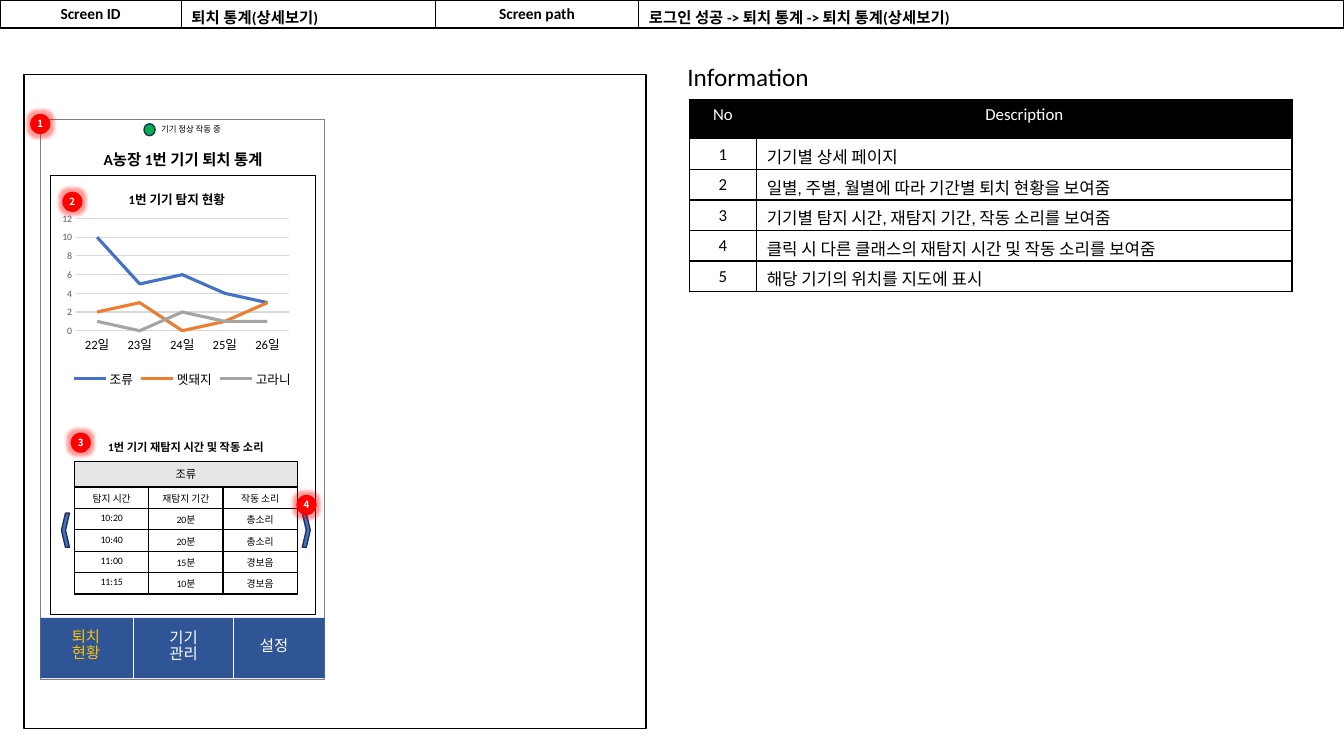
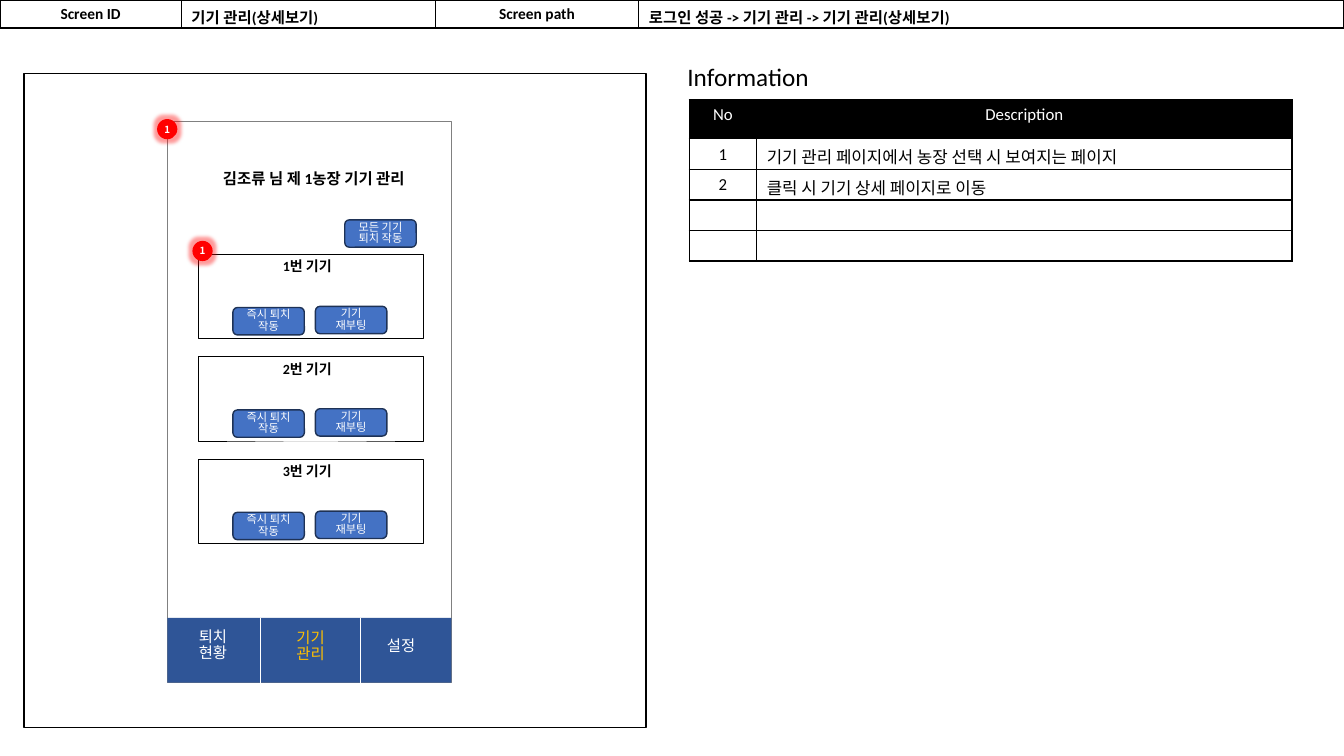
"""Build two screen specification slides for a farm device app."""
from lxml import etree
from pptx import Presentation
from pptx.chart.data import CategoryChartData
from pptx.dml.color import RGBColor
from pptx.enum.chart import XL_CHART_TYPE, XL_LEGEND_POSITION, XL_TICK_MARK
from pptx.enum.shapes import MSO_CONNECTOR, MSO_SHAPE
from pptx.enum.text import MSO_ANCHOR, PP_ALIGN
from pptx.oxml import parse_xml
from pptx.oxml.ns import nsdecls, qn
from pptx.util import Cm, Pt

BLACK = RGBColor(0x00, 0x00, 0x00)
WHITE = RGBColor(0xFF, 0xFF, 0xFF)
GRAY = RGBColor(0x80, 0x80, 0x80)
PALE = RGBColor(0xE7, 0xE6, 0xE6)
RULE = RGBColor(0xD9, 0xD9, 0xD9)
TICK = RGBColor(0x59, 0x59, 0x59)
RED = RGBColor(0xFF, 0x00, 0x00)
GREEN = RGBColor(0x00, 0xB0, 0x50)
NAVY = RGBColor(0x2F, 0x55, 0x97)
BLUE = RGBColor(0x44, 0x72, 0xC4)
EDGE = RGBColor(0x1E, 0x32, 0x56)
GOLD = RGBColor(0xFF, 0xC0, 0x00)
ORANGE = RGBColor(0xED, 0x7D, 0x31)
SILVER = RGBColor(0xA5, 0xA5, 0xA5)

RECT, OVAL = MSO_SHAPE.RECTANGLE, MSO_SHAPE.OVAL
ROUND, CHEVRON = MSO_SHAPE.ROUNDED_RECTANGLE, MSO_SHAPE.CHEVRON
STRAIGHT = MSO_CONNECTOR.STRAIGHT
LEFT, MID = PP_ALIGN.LEFT, PP_ALIGN.CENTER
TOP, CENTER = MSO_ANCHOR.TOP, MSO_ANCHOR.MIDDLE
LINE, BELOW = XL_CHART_TYPE.LINE, XL_LEGEND_POSITION.BOTTOM
NONE = XL_TICK_MARK.NONE
FONT, BADGE = "Calibri", "Noto Sans CJK KR"


def write(frame, text, size, color=BLACK, bold=False, align=LEFT, gap=None, name=FONT):
    frame.word_wrap = True
    for i, line in enumerate(text.split("\n")):
        para = frame.add_paragraph() if i else frame.paragraphs[0]
        para.alignment = align
        para.line_spacing = gap
        if not line:
            etree.SubElement(para._p, qn("a:endParaRPr"), sz=str(size * 100))
            continue
        run = para.add_run()
        run.text = line
        style = {"size": Pt(size), "bold": bold, "name": name}
        for key, value in style.items():
            setattr(run.font, key, value)
        run.font.color.rgb = color


def box(slide, kind, at, fill, edge=None, width=1):
    shape = slide.shapes.add_shape(kind, *map(Cm, at))
    shape.shadow.inherit = False
    shape.fill.solid()
    shape.fill.fore_color.rgb = fill
    if edge is None:
        shape.line.fill.background()
    else:
        shape.line.color.rgb = edge
        shape.line.width = Pt(width)
    return shape


pages = [
    {
        "name": "퇴치 통계(상세보기)",
        "route": "로그인 성공 -> 퇴치 통계 -> 퇴치 통계(상세보기)",
        "notes": ["기기별 상세 페이지", "일별, 주별, 월별에 따라 기간별 퇴치 현황을 보여줌",
                  "기기별 탐지 시간, 재탐지 기간, 작동 소리를 보여줌",
                  "클릭 시 다른 클래스의 재탐지 시간 및 작동 소리를 보여줌",
                  "해당 기기의 위치를 지도에 표시"],
        "blank": 0, "frame": 1.88, "phone": (1.02, 3.0), "bar": 1.52, "active": 0,
        "badges": [("1", 0.76, 2.87), ("2", 1.57, 4.83), ("3", 1.78, 10.9), ("4", 7.47, 12.47)],
        "texts": [("A농장 1번 기기 퇴치 통계", (1.35, 3.66, 6.53, 0.74), 11, True, MID),
                  ("1번 기기 재탐지 시간 및 작동 소리", (2.34, 10.97, 4.7, 0.61), 8, True, MID),
                  ("기기 정상 작동 중", (3.81, 3.0, 2.21, 0.51), 6, False, LEFT)],
        "shapes": [(RECT, (1.27, 4.42, 6.68, 11.05), WHITE, BLACK, 0.25, 0),
                   (CHEVRON, (7.62, 12.93, 0.2, 0.86), BLUE, EDGE, 1, 0),
                   (CHEVRON, (1.55, 12.93, 0.2, 0.86), BLUE, EDGE, 1, 180),
                   (OVAL, (3.63, 3.12, 0.28, 0.3), GREEN, EDGE, 1, 0)],
        "buttons": [],
        "sounds": [["조류", "", ""], ["탐지 시간", "재탐지 기간", "작동 소리"],
                   ["10:20", "20분", "총소리"], ["10:40", "20분", "총소리"],
                   ["11:00", "15분", "경보음"], ["11:15", "10분", "경보음"]],
        "series": [("조류", (10, 5, 6, 4, 3), BLUE), ("멧돼지", (2, 3, 0, 1, 3), ORANGE),
                   ("고라니", (1, 0, 2, 1, 1), SILVER)],
    },
    {
        "name": "기기 관리(상세보기)",
        "route": "로그인 성공 -> 기기 관리 -> 기기 관리(상세보기)",
        "notes": ["기기 관리 페이지에서 농장 선택 시 보여지는 페이지", "클릭 시 기기 상세 페이지로 이동"],
        "blank": 2, "frame": 1.85, "phone": (4.22, 3.07), "bar": 1.63, "active": 1,
        "badges": [("1", 3.96, 3.0), ("1", 4.85, 6.07)],
        "texts": [("김조류 님 제 1농장 기기 관리", (5.16, 4.14, 5.5, 0.74), 11, True, MID)],
        "shapes": [],
        "buttons": [("모든 기기\n퇴치 작동", 8.69, 5.54)],
        "sounds": [],
        "series": [],
    },
]
for i in range(3):
    drop = i * 2.58
    card = pages[1]
    card["shapes"].append((RECT, (5.0, 6.4 + drop, 5.66, 2.13), WHITE, BLACK, 0.25, 0))
    card["texts"].append((f"{i + 1}번 기기", (6.88, 6.37 + drop, 1.9, 0.69), 10, True, LEFT))
    card["buttons"] += [("즉시 퇴치\n작동", 5.87, 7.75 + drop), ("기기\n재부팅", 7.95, 7.72 + drop)]

deck = Presentation()
deck.slide_width, deck.slide_height = Cm(33.87), Cm(19.05)

for page in pages:
    slide = deck.slides.add_slide(deck.slide_layouts[5])
    title = slide.shapes.title
    place = {"left": 17.07, "top": 1.42, "width": 3.81, "height": 1.02}
    for key, value in place.items():
        setattr(title, key, Cm(value))
    title.text_frame.vertical_anchor = TOP
    write(title.text_frame, "Information", 18)

    left, top = page["phone"]
    box(slide, RECT, (0.61, page["frame"], 15.67, 16.48), WHITE, BLACK)
    box(slide, RECT, (left, top, 7.16, 14.12), WHITE, GRAY, 0.5)
    for kind, at, fill, edge, width, turn in page["shapes"]:
        box(slide, kind, at, fill, edge, width).rotation = turn
    for text, at, size, bold, align in page["texts"]:
        label = slide.shapes.add_textbox(*map(Cm, at))
        write(label.text_frame, text, size, BLACK, bold, align)
    for text, x, y in page["buttons"]:
        button = box(slide, ROUND, (x, y, 1.8, 0.69), BLUE, EDGE)
        button.text_frame.vertical_anchor = CENTER
        write(button.text_frame, text, 8, WHITE, align=MID, gap=0.85)

    box(slide, RECT, (left, 15.57, 7.16, page["bar"]), NAVY)
    for x in (left + 2.35, left + 4.87):
        rule = slide.shapes.add_connector(
            STRAIGHT, Cm(x), Cm(15.58), Cm(x), Cm(15.58 + page["bar"]))
        rule.line.color.rgb = WHITE
        rule.line.width = Pt(0.5)
        etree.SubElement(rule._element.spPr, qn("a:effectLst"))
    tabs = [("퇴치현황", 0.54, 15.75), ("기기관리", 3.0, 15.78), ("설정", 5.28, 15.98)]
    for i, (text, x, y) in enumerate(tabs):
        tab = slide.shapes.add_textbox(Cm(left + x), Cm(y), Cm(1.38), Cm(1.12))
        write(tab.text_frame, text, 11, GOLD if i == page["active"] else WHITE, gap=0.85)

    if page["series"]:
        data = CategoryChartData()
        data.categories = [f"{day}일" for day in range(22, 27)]
        for name, values, color in page["series"]:
            data.add_series(name, values)
        at = map(Cm, (1.24, 4.42, 6.71, 5.44))
        chart = slide.shapes.add_chart(LINE, *at, data).chart
        chart.font.name, chart.font.size = FONT, Pt(10)
        chart.font.color.rgb = BLACK
        write(chart.chart_title.text_frame, "1번 기기 탐지 현황", 9, bold=True, align=MID)
        chart.has_legend = True
        chart.legend.position = BELOW
        chart.legend.include_in_layout = False
        days, counts = chart.category_axis, chart.value_axis
        for font, size, color in ((days.tick_labels.font, 9, BLACK),
                                  (counts.tick_labels.font, 7, TICK),
                                  (chart.legend.font, 9, BLACK)):
            font.name, font.size = FONT, Pt(size)
            font.color.rgb = color
        for axis in (days, counts):
            axis.major_tick_mark = axis.minor_tick_mark = NONE
        scale = {"minimum_scale": 0, "maximum_scale": 12, "major_unit": 2}
        for key, value in scale.items():
            setattr(counts, key, value)
        counts.format.line.fill.background()
        for line in (days.format.line, counts.major_gridlines.format.line):
            line.color.rgb = RULE
            line.width = Pt(0.75)
        plot = chart.plots[0]
        plot.vary_by_categories = False
        for series, (name, values, color) in zip(plot.series, page["series"]):
            series.smooth = False
            series.format.line.color.rgb = color
            series.format.line.width = Pt(2.25)
        spots = [(chart.chart_title._element, {"x": 0.29, "y": 0.05}),
                 (chart._chartSpace.chart.plotArea, {"x": 0.1, "y": 0.2, "w": 0.8, "h": 0.52})]
        for node, spot in spots:
            for old in node.findall(qn("c:layout")):
                node.remove(old)
            inner = '<c:layoutTarget val="inner"/>' if "w" in spot else ""
            modes = "".join(f'<c:{key}Mode val="edge"/>' for key in "xy")
            sizes = "".join(f'<c:{key} val="{value}"/>' for key, value in spot.items())
            layout = parse_xml(
                f'<c:layout {nsdecls("c")}><c:manualLayout>{inner}{modes}{sizes}'
                '</c:manualLayout></c:layout>')
            text = node.find(qn("c:tx"))
            if text is None:
                node.insert(0, layout)
            else:
                text.addnext(layout)

    notes = [[str(i), note] for i, note in enumerate(page["notes"], 1)]
    grids = [
        {"rows": [["No", "Description"]] + notes + [["", ""]] * page["blank"],
         "at": (17.37, 2.51), "cols": (1.7, 13.49), "first": 0.99, "rest": 0.74,
         "sizes": (12, 12), "bold": False, "mid": (0,), "fill": BLACK, "ink": WHITE,
         "pad": (0.13, 0.13), "base": 1},
        {"rows": [["Screen ID", page["name"], "Screen path", page["route"]]],
         "at": (0, 0), "cols": (4.57, 6.4, 5.13, 17.75), "first": 0.7, "rest": 0.7,
         "sizes": (11, 11), "bold": True, "mid": (0, 2), "fill": None, "ink": BLACK,
         "pad": (0.13, 0), "base": 2},
    ]
    if page["sounds"]:
        grids.append(
            {"rows": page["sounds"], "at": (1.88, 11.63), "cols": (1.87,) * 3,
             "first": 0.64, "rest": 0.54, "sizes": (8, 7), "bold": False, "mid": (0, 1, 2),
             "fill": PALE, "ink": BLACK, "pad": (0.1, 0.1), "base": 1})
    for grid in grids:
        rows, cols = grid["rows"], grid["cols"]
        high = grid["first"] + grid["rest"] * (len(rows) - 1)
        at = map(Cm, (*grid["at"], sum(cols), high))
        table = slide.shapes.add_table(len(rows), len(cols), *at).table
        table.first_row = table.horz_banding = False
        for col, width in zip(table.columns, cols):
            col.width = Cm(width)
        for r, row in enumerate(rows):
            table.rows[r].height = Cm(grid["rest"] if r else grid["first"])
            for c, text in enumerate(row):
                cell = table.cell(r, c)
                cell.margin_top, cell.margin_bottom = map(Cm, grid["pad"])
                mid = c in grid["mid"] or (r == 0 and grid["fill"] is not None)
                write(cell.text_frame, text, grid["sizes"][min(r, 1)],
                      BLACK if r else grid["ink"], grid["bold"], MID if mid else LEFT)
                for side in "LRTB":
                    width = Pt(grid["base"] if side == "B" else 1)
                    cell._tc.get_or_add_tcPr().append(parse_xml(
                        f'<a:ln{side} {nsdecls("a")} w="{width}"><a:solidFill>'
                        f'<a:srgbClr val="{BLACK}"/></a:solidFill></a:ln{side}>'))
                if r == 0 and grid["fill"] is not None:
                    cell.fill.solid()
                    cell.fill.fore_color.rgb = grid["fill"]
                else:
                    cell.fill.background()
        if rows is page["sounds"]:
            table.cell(0, 0).merge(table.cell(0, 2))

    for text, x, y in page["badges"]:
        badge = box(slide, OVAL, (x, y, 0.51, 0.51), RED)
        glow = parse_xml(f'<a:glow {nsdecls("a")} rad="63500"><a:srgbClr val="{RED}">'
                         '<a:alpha val="40000"/></a:srgbClr></a:glow>')
        badge._element.spPr.find(qn("a:effectLst")).append(glow)
        frame = badge.text_frame
        for side in ("left", "right", "top", "bottom"):
            setattr(frame, f"margin_{side}", 0)
        frame.vertical_anchor = CENTER
        write(frame, text, 7, WHITE, True, MID, name=BADGE)

deck.save("out.pptx")
